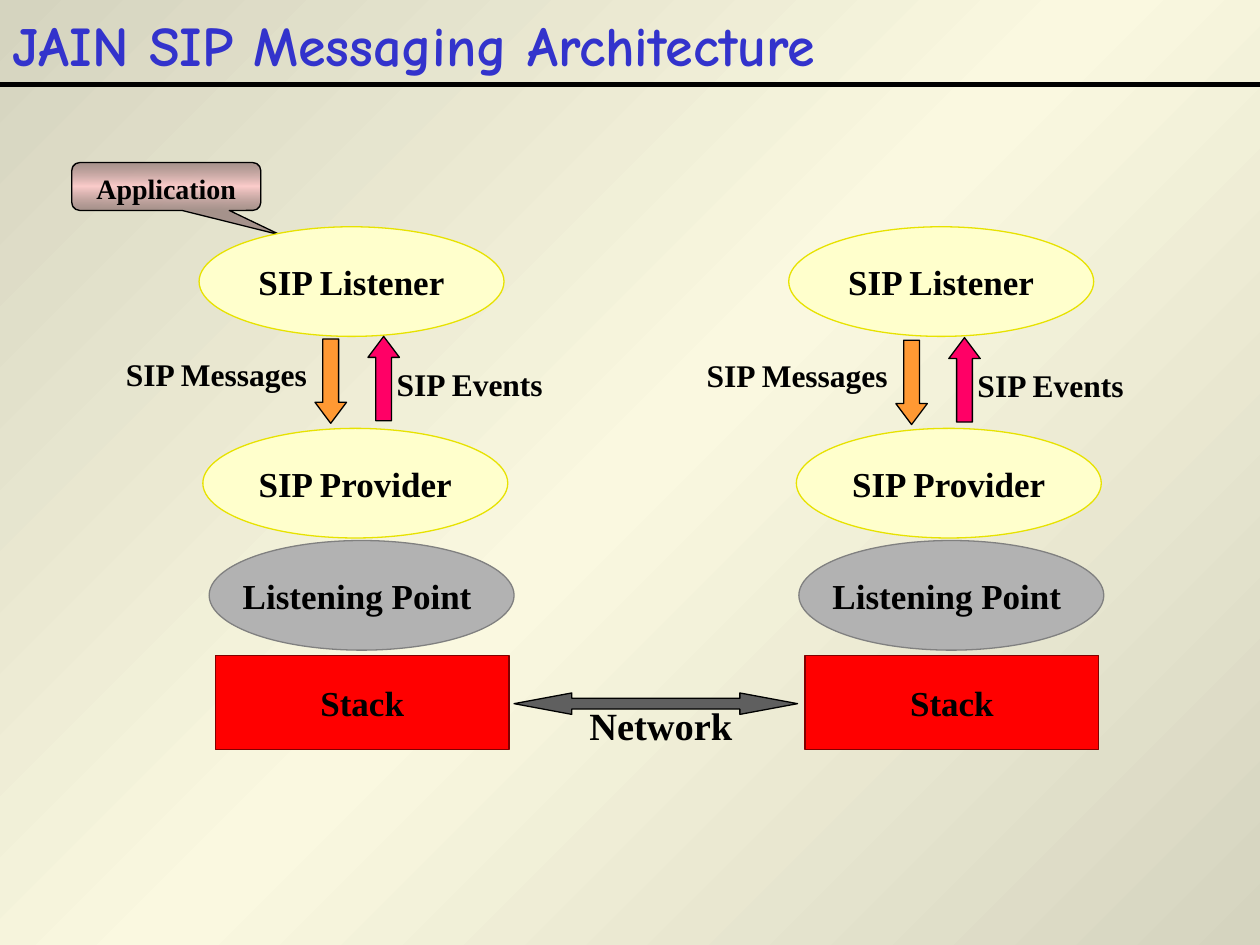
from lxml import etree
from pptx import Presentation
from pptx.dml.color import RGBColor
from pptx.enum.shapes import MSO_CONNECTOR, MSO_SHAPE
from pptx.enum.text import MSO_ANCHOR, MSO_AUTO_SIZE, PP_ALIGN
from pptx.oxml.ns import qn
from pptx.util import Inches, Pt

RECTANGLE, OVAL = MSO_SHAPE.RECTANGLE, MSO_SHAPE.OVAL
UP_ARROW, DOWN_ARROW = MSO_SHAPE.UP_ARROW, MSO_SHAPE.DOWN_ARROW
DOUBLE_ARROW = MSO_SHAPE.LEFT_RIGHT_ARROW
CALLOUT = MSO_SHAPE.ROUNDED_RECTANGULAR_CALLOUT
LEFT, CENTER = PP_ALIGN.LEFT, PP_ALIGN.CENTER
TOP, MIDDLE = MSO_ANCHOR.TOP, MSO_ANCHOR.MIDDLE

TITLE_FONT, BODY_FONT = "Comic Neue", "Times New Roman"
COLORS = {
    "title": "3333CC", "black": "000000",
    "background_edge": "D5D4BF", "background_middle": "FAF8E0",
    "stack": "FF0000", "stack_line": "800000",
    "point": "B2B2B2", "point_line": "808080",
    "sip": "FFFFCC", "sip_line": "E7E200",
    "messages": "FF9933", "events": "FF0066", "network": "5F5F5F",
    "callout_edge": "896D6D", "callout_middle": "FFCCCC",
}
ELLIPSE_SIZE = (2.42, 0.87)
ARROW_SIZE = (0.25, 0.67)


def color(name):
    return RGBColor.from_string(COLORS[name])


def set_gradient(fill, element, angle, stops):
    """Fill with (position, color, opacity) stops in percent."""
    fill.gradient()
    fill.gradient_angle = angle
    stop_list = next(element.iter(qn("a:gsLst")))
    for stop in list(stop_list):
        stop_list.remove(stop)
    for position, name, opacity in stops:
        stop = etree.SubElement(stop_list, qn("a:gs"), pos=str(position * 1000))
        rgb = etree.SubElement(stop, qn("a:srgbClr"), val=COLORS[name])
        if opacity < 100:
            etree.SubElement(rgb, qn("a:alpha"), val=str(opacity * 1000))


def write_text(shape, text, size=20, font=BODY_FONT, fill="black",
               align=CENTER, anchor=MIDDLE, wrap=True):
    frame = shape.text_frame
    frame.auto_size = MSO_AUTO_SIZE.NONE
    frame.word_wrap = wrap
    frame.vertical_anchor = anchor
    paragraph = frame.paragraphs[0]
    paragraph.text = text
    paragraph.alignment = align
    paragraph.font.name = font
    paragraph.font.size = Pt(size)
    paragraph.font.bold = True
    paragraph.font.color.rgb = color(fill)


def add_label(slide, text, left, top, width, height, **text_format):
    label = slide.shapes.add_textbox(*map(Inches, (left, top, width, height)))
    write_text(label, text, anchor=TOP, **text_format)


def add_block(slide, kind, left, top, width, height, fill=None, line="black",
              text=None, adjustments=()):
    shape = slide.shapes.add_shape(kind, *map(Inches, (left, top, width, height)))
    shape.shadow.inherit = False
    if fill:
        shape.fill.solid()
        shape.fill.fore_color.rgb = color(fill)
    shape.line.color.rgb = color(line)
    shape.line.width = Pt(0.75)
    for index, value in enumerate(adjustments):
        shape.adjustments[index] = value
    if text:
        write_text(shape, text, wrap=False)
    return shape


def add_header(slide, left, top, width, height):
    title = slide.shapes.title
    title.left, title.top = Inches(left), Inches(top)
    title.width, title.height = Inches(width), Inches(height)
    write_text(title, "JAIN SIP Messaging Architecture", size=32,
               font=TITLE_FONT, fill="title", align=LEFT)
    rule = slide.shapes.add_connector(MSO_CONNECTOR.STRAIGHT, 0, Inches(0.67),
                                      Inches(10), Inches(0.67))
    rule.line.color.rgb = color("black")
    rule.line.width = Pt(3)
    etree.SubElement(rule._element.spPr, qn("a:effectLst"))


def add_callout(slide, left, top, width, height):
    callout = add_block(slide, CALLOUT, left, top, width, height,
                        adjustments=(0.604, 1.012, 0.167))
    set_gradient(callout.fill, callout._element.spPr, 270,
                 [(0, "callout_edge", 67), (50, "callout_middle", 92),
                  (100, "callout_edge", 67)])
    write_text(callout, "Application", size=16, anchor=TOP)


def add_exchange(slide, left, top):
    """Place the messages and events arrows with their labels."""
    head = (0.5, 0.667)
    add_label(slide, "SIP Messages", left, top + 0.1, 1.85, 0.4, size=18, align=LEFT)
    add_label(slide, "SIP Events", left + 2.15, top + 0.18, 2.33, 0.4,
              size=18, align=LEFT)
    add_block(slide, DOWN_ARROW, left + 1.6, top + 0.02, *ARROW_SIZE,
              fill="messages", adjustments=head)
    add_block(slide, UP_ARROW, left + 2.02, top, *ARROW_SIZE,
              fill="events", adjustments=head)


def add_endpoint(slide, left, top, provider_left):
    """Place one protocol column from its listener down to its stack."""
    add_block(slide, RECTANGLE, left + 0.13, top + 3.4, 2.33, 0.75,
              "stack", "stack_line", "Stack")
    add_block(slide, OVAL, left + 0.08, top + 2.49, *ELLIPSE_SIZE,
              "point", "point_line", "Listening Point ")
    add_block(slide, OVAL, provider_left, top + 1.6, *ELLIPSE_SIZE,
              "sip", "sip_line", "SIP Provider")
    add_block(slide, OVAL, left, top, *ELLIPSE_SIZE,
              "sip", "sip_line", "SIP Listener")


def add_network(slide, left, top, width):
    add_label(slide, "Network", left, top + 0.02, width + 0.08, 0.47, size=22)
    add_block(slide, DOUBLE_ARROW, left, top, width, 0.17, fill="network",
              adjustments=(0.5, 2.69))


def main():
    presentation = Presentation()
    presentation.slide_width, presentation.slide_height = Inches(10), Inches(7.5)
    slide = presentation.slides.add_slide(presentation.slide_layouts[5])
    set_gradient(slide.background.fill, slide._element, 135,
                 [(0, "background_edge", 100), (50, "background_middle", 100),
                  (100, "background_edge", 100)])
    add_header(slide, 0, 0.14, 8.5, 0.42)
    add_callout(slide, 0.57, 1.29, 1.5, 0.38)
    add_endpoint(slide, 1.58, 1.8, provider_left=1.61)
    add_exchange(slide, 0.9, 2.67)
    add_endpoint(slide, 6.26, 1.8, provider_left=6.32)
    add_exchange(slide, 5.51, 2.68)
    add_network(slide, 4.08, 5.5, 2.25)
    presentation.save("out.pptx")


if __name__ == "__main__":
    main()
